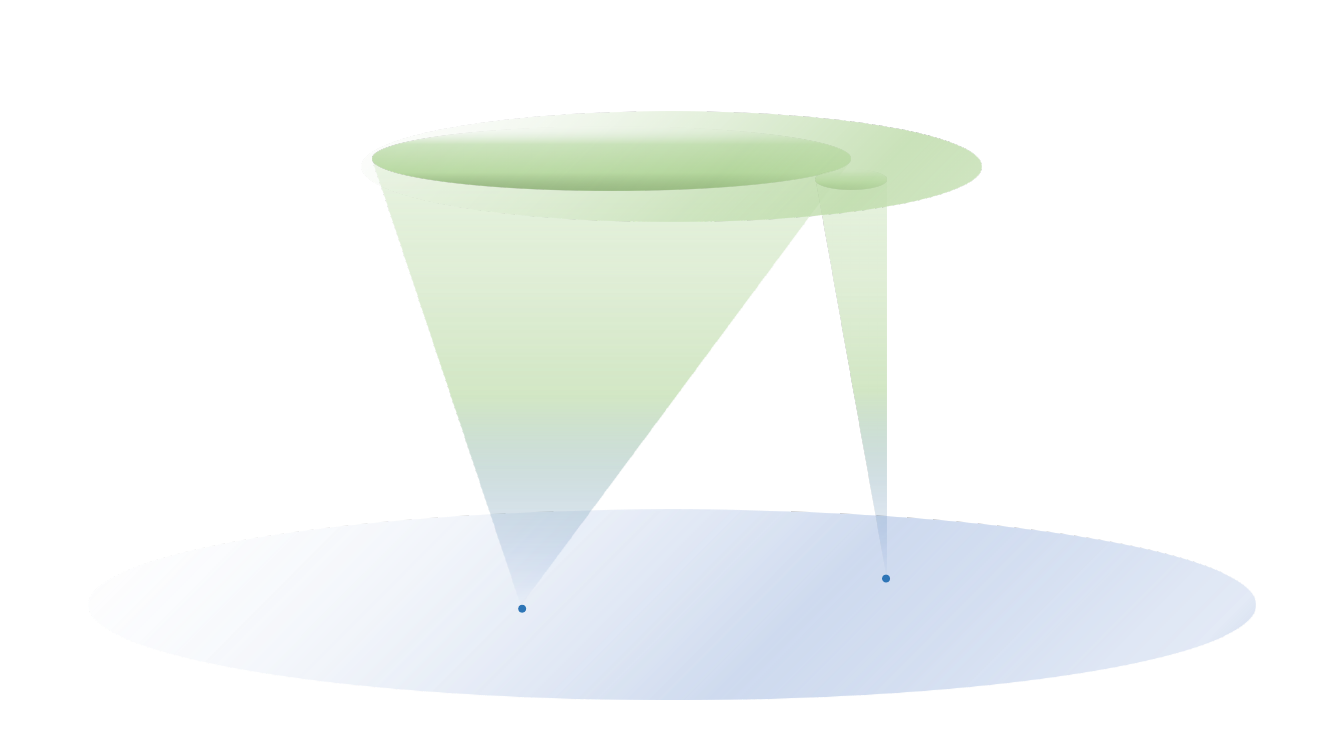
"""Draw two cones that project points of a ground plane onto an upper disc."""
from lxml import etree
from pptx import Presentation
from pptx import util as u
from pptx.dml.color import RGBColor
from pptx.enum import shapes
from pptx.oxml import ns

MIST = RGBColor(0xF6, 0xF8, 0xFC)
SKY = RGBColor(0xBF, 0xCF, 0xEA)
PERIWINKLE = RGBColor(0xAB, 0xC0, 0xE4)
SILVER = RGBColor(0xED, 0xED, 0xED)
BLUE = RGBColor(0x44, 0x72, 0xC4)
POINT_BLUE = RGBColor(0x2E, 0x75, 0xB6)
FROST = RGBColor(0xF8, 0xFB, 0xF6)
PALE_GREEN = RGBColor(0xE2, 0xF0, 0xD9)
SOFT_GREEN = RGBColor(0xD4, 0xE8, 0xC6)
LEAF = RGBColor(0xBE, 0xDC, 0xAA)
LIGHT_GREEN = RGBColor(0xC5, 0xE0, 0xB4)
GREEN = RGBColor(0xA9, 0xD1, 0x8E)
DARK_GREEN = RGBColor(0x54, 0x82, 0x35)

# Each stop is position in percent, colour, opacity in percent.
GROUND = [(0, MIST, 4), (60, SKY, 75), (85, PERIWINKLE, 39),
          (92, PERIWINKLE, 33), (100, SILVER, 100)]
CONE = [(0, PALE_GREEN, 71), (25, LEAF, 46), (53, LEAF, 68), (100, BLUE, 0)]
LARGE_CAP = [(0, MIST, 0), (28, LIGHT_GREEN, 100), (72, GREEN, 100),
             (100, DARK_GREEN, 78)]
SMALL_CAP = [(0, MIST, 0), (22, LIGHT_GREEN, 50), (63, GREEN, 100),
             (100, DARK_GREEN, 78)]
UPPER_DISC = [(0, FROST, 16), (58, LEAF, 53), (79, LEAF, 80),
              (100, SOFT_GREEN, 100)]


class Diagram:
    """Hold the slide and draw its discs, cones and points."""

    def __init__(self, slide):
        self.slide = slide

    def add_outline(self, kind, left, top, width, height):
        """Add a preset shape without line or shadow."""
        shape = self.slide.shapes.add_shape(
            kind, u.Cm(left), u.Cm(top), u.Cm(width), u.Cm(height))
        shape.shadow.inherit = False
        shape.line.fill.background()
        return shape

    def shade(self, shape, stops, angle):
        """Fill a shape with a clockwise-angled gradient of translucent stops."""
        shape.fill.gradient()
        shape.fill.gradient_angle = 360 - angle
        stop_list = shape._element.spPr.find(".//" + ns.qn("a:gsLst"))
        stop_list.clear()
        for position, colour, opacity in stops:
            stop = etree.SubElement(stop_list, ns.qn("a:gs"), pos=str(position * 1000))
            tint = etree.SubElement(stop, ns.qn("a:srgbClr"), val=str(colour))
            if opacity < 100:
                etree.SubElement(tint, ns.qn("a:alpha"), val=str(opacity * 1000))

    def disc(self, left, top, width, height, stops, angle):
        """Draw a shaded ellipse."""
        oval = self.add_outline(shapes.MSO_SHAPE.OVAL, left, top, width, height)
        self.shade(oval, stops, angle)

    def cone(self, left, top, width, height, apex):
        """Draw a downward cone with its apex at a share of the width."""
        triangle = self.add_outline(
            shapes.MSO_SHAPE.ISOSCELES_TRIANGLE, left, top, width, height)
        triangle.adjustments[0] = 1 - apex
        triangle.rotation = 180
        self.shade(triangle, CONE, 270)

    def point(self, left, top):
        """Draw a small solid dot."""
        dot = self.add_outline(shapes.MSO_SHAPE.OVAL, left, top, 0.2, 0.2)
        dot.fill.solid()
        dot.fill.fore_color.rgb = POINT_BLUE


def main():
    """Build and save the deck."""
    deck = Presentation()
    deck.slide_width, deck.slide_height = u.Cm(33.87), u.Cm(19.05)
    diagram = Diagram(deck.slides.add_slide(deck.slide_layouts[6]))
    diagram.disc(2.24, 12.85, 29.39, 4.78, GROUND, 45)
    diagram.cone(9.4, 4.06, 12.04, 11.18, apex=0.31)
    diagram.cone(20.55, 4.45, 1.78, 10.16, apex=1)
    diagram.point(13.06, 15.24)
    diagram.point(22.23, 14.48)
    diagram.disc(9.4, 3.2, 12.04, 1.6, LARGE_CAP, 90)
    diagram.disc(20.55, 4.27, 1.78, 0.51, SMALL_CAP, 90)
    diagram.disc(9.12, 2.82, 15.62, 2.77, UPPER_DISC, 45)
    deck.save("out.pptx")


if __name__ == "__main__":
    main()
